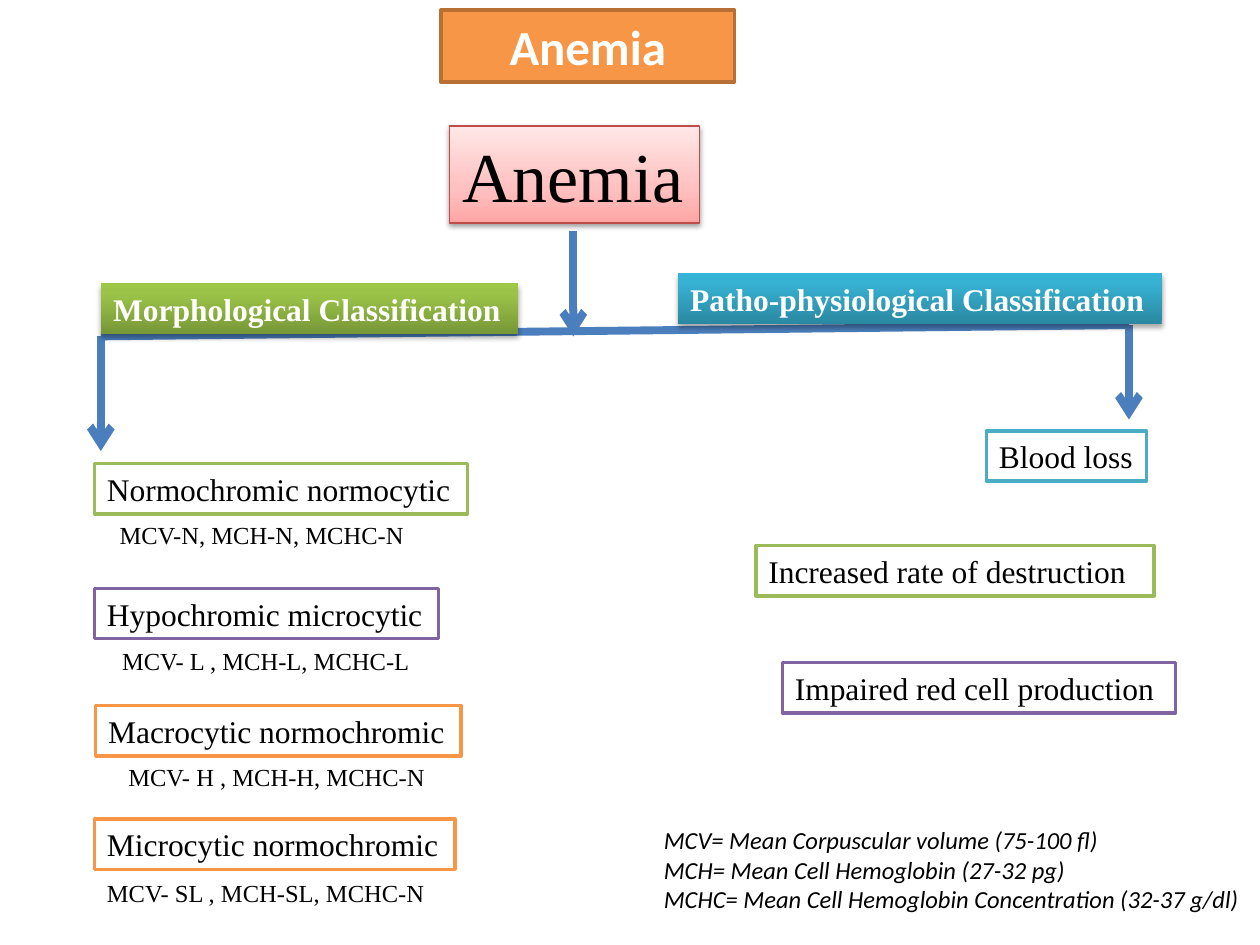
from typing import NamedTuple, Optional

from lxml.etree import SubElement
from pptx import Presentation
from pptx.dml.color import RGBColor
from pptx.enum.shapes import MSO_CONNECTOR, MSO_SHAPE
from pptx.enum.text import MSO_ANCHOR, MSO_AUTO_SIZE, PP_ALIGN
from pptx.oxml.ns import qn
from pptx.util import Inches, Pt

BLACK = RGBColor(0x00, 0x00, 0x00)
WHITE = RGBColor(0xFF, 0xFF, 0xFF)
BLUE = RGBColor(0x4B, 0x7E, 0xBC)
RED = RGBColor(0xBF, 0x4C, 0x48)
GREEN = RGBColor(0x9B, 0xBB, 0x59)
PURPLE = RGBColor(0x80, 0x64, 0xA2)
ORANGE = RGBColor(0xF7, 0x96, 0x46)
DARK_ORANGE = RGBColor(0xB7, 0x6F, 0x34)
TEAL = RGBColor(0x4B, 0xAC, 0xC6)

# Gradients run from bottom to top: (position in percent, colour)
PINK_GRADIENT = ((0, RGBColor(0xFF, 0xA6, 0xA5)), (35, RGBColor(0xFF, 0xC0, 0xBF)),
                 (100, RGBColor(0xFF, 0xE7, 0xE7)))
GREEN_GRADIENT = ((0, RGBColor(0x77, 0x97, 0x37)), (80, RGBColor(0x9B, 0xC3, 0x48)),
                  (100, RGBColor(0x9D, 0xC7, 0x46)))
TEAL_GRADIENT = ((0, RGBColor(0x2A, 0x88, 0xA2)), (80, RGBColor(0x37, 0xB1, 0xD2)),
                 (100, RGBColor(0x34, 0xB4, 0xD6)))

SERIF, SANS = "Times New Roman", "Calibri"
BOX_HEIGHT, INDEX_HEIGHT = 0.4, 0.34


class Banner(NamedTuple):
    text: str
    left: float
    top: float
    width: float
    height: float
    size: int
    color: RGBColor
    gradient: tuple
    shadow_alpha: int
    shadow_distance: float
    border: Optional[RGBColor] = None


class Category(NamedTuple):
    text: str
    left: float
    top: float
    width: float
    border: RGBColor


class Note(NamedTuple):
    lines: tuple
    left: float
    top: float
    width: float
    height: float = INDEX_HEIGHT
    font: str = SERIF
    italic: bool = False


class Link(NamedTuple):
    start: tuple
    end: tuple
    arrow: bool = True


ROOT = Banner("Anemia", 3.57, 1, 1.98, 0.77, 40, BLACK, PINK_GRADIENT, 38, 1.6, RED)
BRANCHES = (
    Banner("Morphological Classification", 0.8, 2.25, 3.31, BOX_HEIGHT, 18, WHITE,
           GREEN_GRADIENT, 35, 1.8),
    Banner("Patho-physiological Classification", 5.38, 2.17, 3.84, BOX_HEIGHT, 18, WHITE,
           TEAL_GRADIENT, 35, 1.8),
)
LEFT_END, RIGHT_END = (0.8, 2.67), (8.96, 2.58)
LINKS = (
    Link((4.55, 1.83), (4.55, 2.67)),
    Link(LEFT_END, RIGHT_END, arrow=False),
    Link(LEFT_END, (0.8, 3.58)),
    Link(RIGHT_END, (8.96, 3.33)),
)
CATEGORIES = (
    Category("Normochromic normocytic", 0.75, 3.68, 2.96, GREEN),
    Category("Hypochromic microcytic", 0.75, 4.67, 2.73, PURPLE),
    Category("Macrocytic normochromic", 0.76, 5.6, 2.9, ORANGE),
    Category("Microcytic normochromic", 0.75, 6.5, 2.86, ORANGE),
    Category("Blood loss", 7.83, 3.42, 1.27, TEAL),
    Category("Increased rate of destruction", 6, 4.33, 3.16, GREEN),
    Category("Impaired red cell production", 6.21, 5.26, 3.12, PURPLE),
)
NOTES = (
    Note(("MCV-N, MCH-N, MCHC-N",), 0.85, 4.08, 2.48),
    Note(("MCV- L , MCH-L, MCHC-L",), 0.87, 5.08, 2.55),
    Note(("MCV- H , MCH-H, MCHC-N",), 0.92, 6, 2.58),
    Note(("MCV- SL , MCH-SL, MCHC-N",), 0.75, 6.92, 2.72),
    Note(("MCV= Mean Corpuscular volume (75-100 fl)",
          "MCH= Mean Cell Hemoglobin (27-32 pg)",
          "MCHC= Mean Cell Hemoglobin Concentration (32-37 g/dl)"),
         5.17, 6.5, 4.77, 0.81, SANS, True),
)


def write(sp, lines: tuple, size: int, color: RGBColor, font: str = SERIF,
          bold: bool = False, italic: bool = False, align=PP_ALIGN.LEFT) -> None:
    tf = sp.text_frame
    tf.text = "\n".join(lines)
    tf.word_wrap = False
    tf.auto_size = MSO_AUTO_SIZE.SHAPE_TO_FIT_TEXT
    tf.vertical_anchor = MSO_ANCHOR.TOP
    for p in tf.paragraphs:
        p.alignment = align
        for r in p.runs:
            r.font.name, r.font.size = font, Pt(size)
            r.font.bold, r.font.italic = bold, italic
            r.font.color.rgb = color


def set_border(sp, color: Optional[RGBColor], width: float) -> None:
    if color is None:
        sp.line.fill.background()
    else:
        sp.line.color.rgb = color
        sp.line.width = Pt(width)


def add_box(slide, left: float, top: float, width: float, height: float):
    sp = slide.shapes.add_shape(MSO_SHAPE.RECTANGLE, Inches(left), Inches(top),
                                Inches(width), Inches(height))
    sp.shadow.inherit = False
    return sp


def add_color(parent, color: RGBColor):
    return SubElement(parent, qn("a:srgbClr"), val=str(color))


def fill_gradient(sp, stops: tuple) -> None:
    sp.fill.gradient()
    sp.fill.gradient_angle = 90
    stop_list = sp.element.spPr.find(".//" + qn("a:gsLst"))
    for old in list(stop_list):
        stop_list.remove(old)
    for position, color in stops:
        add_color(SubElement(stop_list, qn("a:gs"), pos=str(position * 1000)), color)


def cast_shadow(sp, alpha: int, distance: float) -> None:
    effects = sp.element.spPr.find(qn("a:effectLst"))
    shadow = SubElement(effects, qn("a:outerShdw"), blurRad=str(Pt(3.1)),
                        dist=str(Pt(distance)), dir="5400000", rotWithShape="0")
    SubElement(add_color(shadow, BLACK), qn("a:alpha"), val=str(alpha * 1000))


def add_banner(slide, banner: Banner) -> None:
    sp = add_box(slide, banner.left, banner.top, banner.width, banner.height)
    fill_gradient(sp, banner.gradient)
    set_border(sp, banner.border, 0.75)
    cast_shadow(sp, banner.shadow_alpha, banner.shadow_distance)
    write(sp, (banner.text,), banner.size, banner.color, bold=banner.color == WHITE)


def add_category(slide, category: Category) -> None:
    sp = add_box(slide, category.left, category.top, category.width, BOX_HEIGHT)
    sp.fill.solid()
    sp.fill.fore_color.rgb = WHITE
    set_border(sp, category.border, 2)
    write(sp, (category.text,), 18, BLACK)


def add_note(slide, note: Note) -> None:
    sp = slide.shapes.add_textbox(Inches(note.left), Inches(note.top),
                                  Inches(note.width), Inches(note.height))
    write(sp, note.lines, 14, BLACK, note.font, italic=note.italic)


def add_link(slide, link: Link) -> None:
    ends = [Inches(v) for v in link.start + link.end]
    line = slide.shapes.add_connector(MSO_CONNECTOR.STRAIGHT, *ends)
    set_border(line, BLUE, 4.5)
    properties = line.element.spPr
    if link.arrow:
        SubElement(properties.find(qn("a:ln")), qn("a:tailEnd"), type="arrow")
    SubElement(properties, qn("a:effectLst"))


def set_title(slide, text: str) -> None:
    sp = slide.shapes.title
    sp.left, sp.top, sp.width, sp.height = map(Inches, (3.5, 0.08, 2.33, 0.57))
    sp.fill.solid()
    sp.fill.fore_color.rgb = ORANGE
    set_border(sp, DARK_ORANGE, 2)
    write(sp, (text,), 28, WHITE, SANS, bold=True, align=PP_ALIGN.CENTER)
    # A title placeholder that fits its text grows to the layout's height
    sp.text_frame.auto_size = MSO_AUTO_SIZE.NONE
    sp.text_frame.word_wrap = True


def main() -> None:
    prs = Presentation()
    prs.slide_width, prs.slide_height = Inches(10), Inches(7.5)
    slide = prs.slides.add_slide(prs.slide_layouts[5])
    set_title(slide, "Anemia")
    add_banner(slide, ROOT)
    for link in LINKS:
        add_link(slide, link)
    for banner in BRANCHES:
        add_banner(slide, banner)
    for category in CATEGORIES:
        add_category(slide, category)
    for note in NOTES:
        add_note(slide, note)
    prs.save("out.pptx")


if __name__ == "__main__":
    main()
